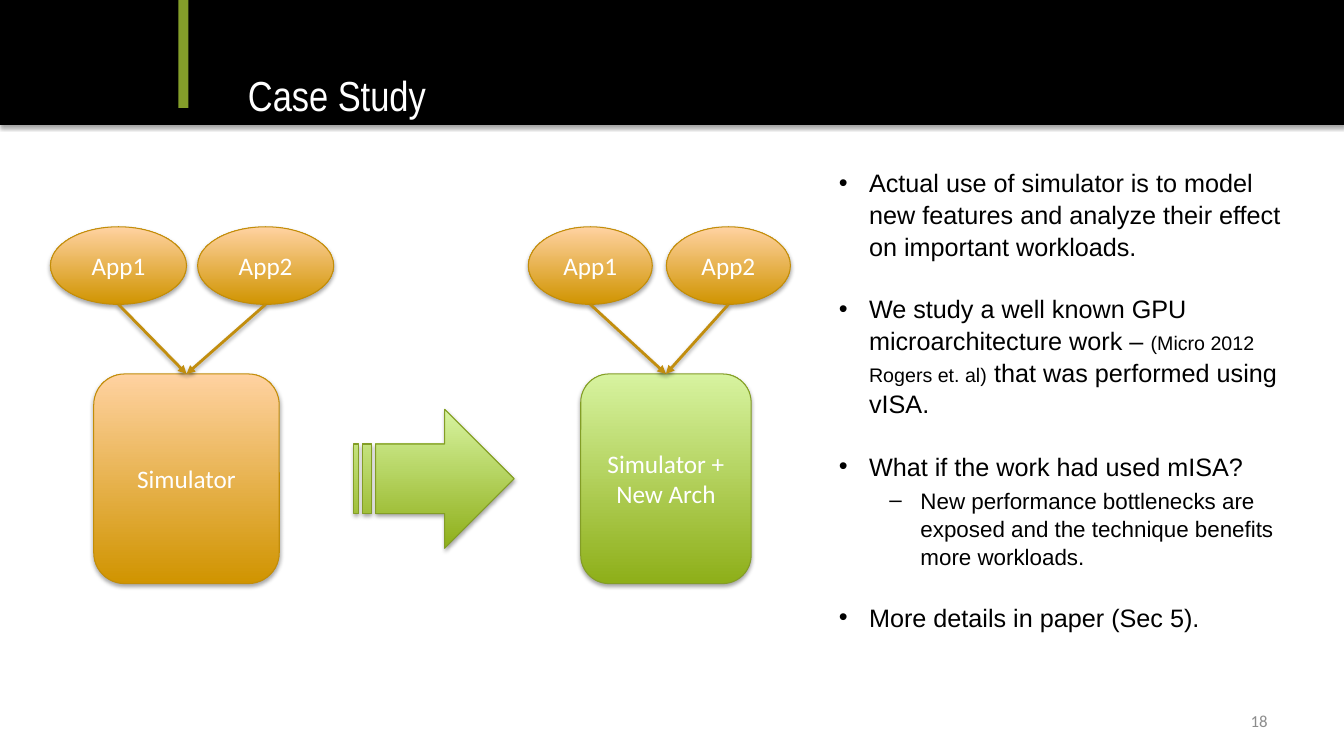
import pptx
import pptx.util
import pptx.dml.color
import pptx.enum.shapes
import pptx.enum.text
import pptx.oxml
import pptx.oxml.ns
from dataclasses import dataclass

Inches, Pt = pptx.util.Inches, pptx.util.Pt
RGB = pptx.dml.color.RGBColor.from_string
MSO = pptx.enum.shapes.MSO_SHAPE
ANCHOR = pptx.enum.text.MSO_ANCHOR
ALIGN = pptx.enum.text.PP_ALIGN
NS = pptx.oxml.ns.nsdecls("a")


@dataclass(frozen=True)
class Theme:
    black: str = "000000"
    white: str = "FFFFFF"
    accent: str = "849E2A"
    grey: str = "8C8C8C"
    arrow: str = "C28E0E"
    orange: tuple = ("D09400", "FFD2A1", "C28D09")  # bottom, top, outline
    green: tuple = ("8EAF19", "D7F3A0", "839D26")
    title: int = 30
    text: int = 18
    sub: int = 16
    cite: int = 14
    number: int = 12


theme = Theme()
prs = pptx.Presentation()
prs.slide_width, prs.slide_height = Inches(13.33), Inches(7.5)
s = prs.slides.add_slide(prs.slide_layouts[6])


def add_run(p, text, size, font, color):
    r = p.add_run()
    r.text = text
    r.font.size, r.font.name = Pt(size), font
    r.font.color.rgb = RGB(color)


def add_block(kind, x, y, w, h, fill, text=""):
    """Shadowed shape: a plain fill, or a (bottom, top, outline) gradient."""
    sp = s.shapes.add_shape(kind, Inches(x), Inches(y), Inches(w), Inches(h))
    if isinstance(fill, str):
        sp.fill.solid()
        sp.fill.fore_color.rgb = RGB(fill)
        sp.line.fill.background()
    else:
        sp.fill.gradient()
        sp.fill.gradient_angle = 90
        for stop, color in zip(sp.fill.gradient_stops, fill):
            stop.color.rgb = RGB(color)
        sp.line.color.rgb = RGB(fill[2])
        sp.line.width = Pt(0.75)
    if text:
        tf = sp.text_frame
        tf.word_wrap, tf.vertical_anchor = True, ANCHOR.MIDDLE
        tf.paragraphs[0].alignment = ALIGN.CENTER
        add_run(tf.paragraphs[0], text, theme.text, "Calibri", theme.white)


# Header band and accent bar
add_block(MSO.RECTANGLE, 0, 0, 13.33, 1.24, theme.black)
add_block(MSO.RECTANGLE, 1.77, 0, 0.1, 1.07, theme.accent)

# Diagram: two apps feeding each simulator
APP_Y, APP_H, SIM_Y, SIM_H = 2.25, 0.77, 3.71, 2.08
clusters = [
    ("Simulator", theme.orange, 0.93, 1.84, (0.5, 1.96), 1.35),
    ("Simulator + New Arch", theme.green, 5.76, 1.69, (5.24, 6.61), 1.23),
]
for name, fill, sim_x, sim_w, app_xs, app_w in clusters:
    add_block(MSO.ROUNDED_RECTANGLE, sim_x, SIM_Y, sim_w, SIM_H, fill, name)
    for i, app_x in enumerate(app_xs, 1):
        add_block(MSO.OVAL, app_x, APP_Y, app_w, APP_H, theme.orange, f"App{i}")
        cn = s.shapes.add_connector(
            pptx.enum.shapes.MSO_CONNECTOR.STRAIGHT,
            Inches(app_x + app_w / 2), Inches(APP_Y + APP_H),
            Inches(sim_x + sim_w / 2), Inches(SIM_Y))
        cn.line.color.rgb = RGB(theme.arrow)
        cn.line.width = Pt(2)
        cn.line._get_or_add_ln().append(
            pptx.oxml.parse_xml(f'<a:tailEnd {NS} type="triangle"/>'))
add_block(MSO.STRIPED_RIGHT_ARROW, 3.51, 4.06, 1.59, 1.38, theme.green)

# Soft drop shadow under every shape and connector
for sp in s.shapes:
    sp._element.spPr.append(pptx.oxml.parse_xml(
        f'<a:effectLst {NS}><a:outerShdw blurRad="{Pt(3.1)}" dist="{Pt(1.8)}" '
        f'dir="5400000" rotWithShape="0"><a:srgbClr val="{theme.black}">'
        '<a:alpha val="35000"/></a:srgbClr></a:outerShdw></a:effectLst>'))

# Text boxes: title, body, slide number
frames = []
for x, y, w, h, inset, anchor in [
    (2.46, 0.66, 9.3, 0.57, 0, ANCHOR.MIDDLE),
    (8.32, 1.65, 4.57, 4.44, 0, ANCHOR.TOP),
    (9.56, 6.95, 3.11, 0.4, 0.1, ANCHOR.MIDDLE),
]:
    tf = s.shapes.add_textbox(Inches(x), Inches(y), Inches(w), Inches(h)).text_frame
    tf.word_wrap, tf.vertical_anchor = True, anchor
    tf.margin_left = tf.margin_right = Inches(inset)
    tf.margin_top = tf.margin_bottom = Inches(inset / 2)
    frames.append(tf)
title, body, number = frames
add_run(title.paragraphs[0], "Case Study", theme.title, "Arial Narrow", theme.white)
number.paragraphs[0].alignment = ALIGN.RIGHT
add_run(number.paragraphs[0], "18", theme.number, "Calibri", theme.grey)

# Body bullets: level, space before in points, runs
bullets = [
    (0, 0, [("Actual use of simulator is to model new features and analyze "
             "their effect on important workloads.", theme.text)]),
    (0, 21.7, [("We study a well known GPU microarchitecture work – ", theme.text),
               ("(Micro 2012 Rogers et. al)", theme.cite),
               (" that was performed using vISA.", theme.text)]),
    (0, 21.7, [("What if the work had used mISA?", theme.text)]),
    (1, 3.2, [("New performance bottlenecks are exposed and the technique "
               "benefits more workloads.", theme.sub)]),
    (0, 21.7, [("More details in paper (Sec 5).", theme.text)]),
]
levels = [("•", 0.3, 0.3), ("–", 0.81, 0.31)]  # mark, left margin, hanging indent
for i, (level, gap, runs) in enumerate(bullets):
    p = body.add_paragraph() if i else body.paragraphs[0]
    mark, margin, hang = levels[level]
    p.level = level
    p.line_spacing = 1.05
    p.space_before = Pt(gap)
    pPr = p._p.get_or_add_pPr()
    pPr.set("marL", str(Inches(margin)))
    pPr.set("indent", str(-Inches(hang)))
    for xml in (f'<a:buFont {NS} typeface="Arial"/>', f'<a:buChar {NS} char="{mark}"/>'):
        pPr.append(pptx.oxml.parse_xml(xml))
    for text, size in runs:
        add_run(p, text, size, "Arial", theme.black)

prs.save("out.pptx")
